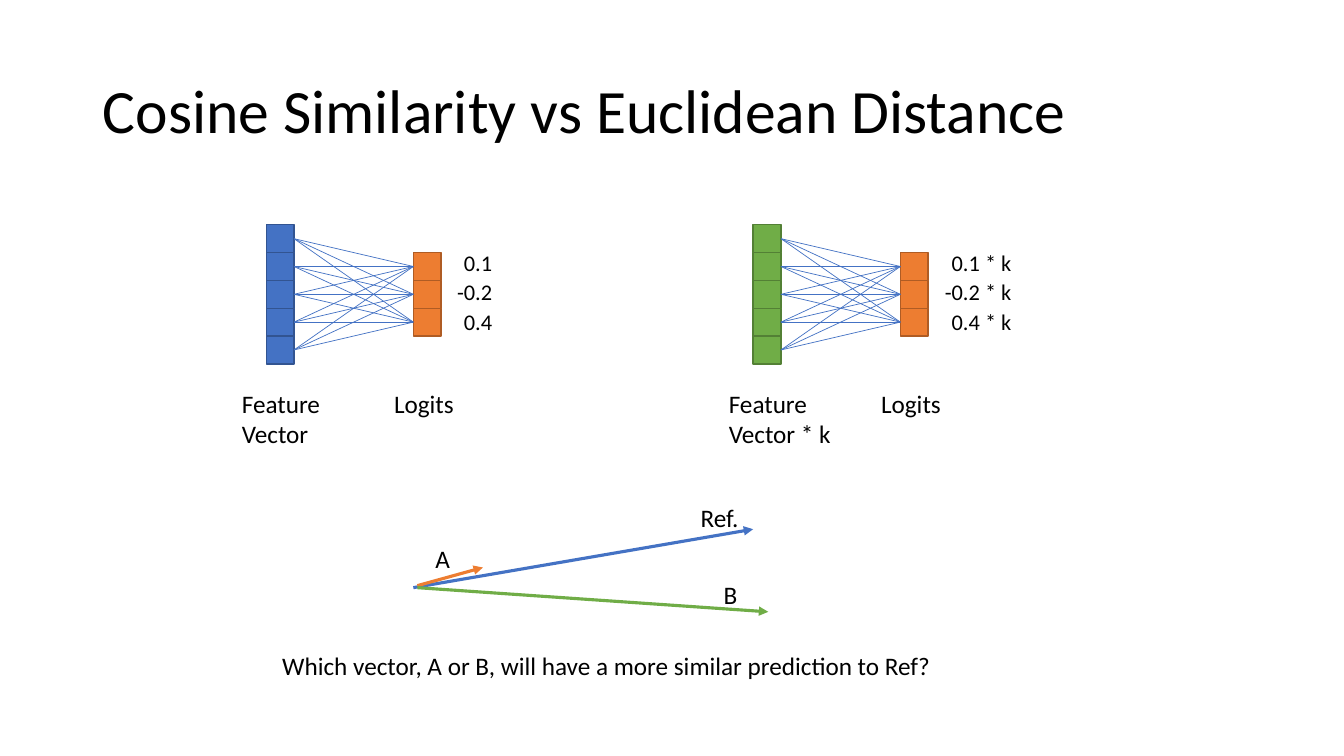
from pptx import Presentation
from pptx import util as u
from pptx.dml.color import RGBColor
from pptx.enum import shapes, text
from pptx.oxml.ns import qn
from lxml import etree

COLORS = {
    "black": "000000",
    "blue": "4472C4", "blue edge": "325491",
    "green": "70AD47", "green edge": "538035",
    "orange": "ED7D31", "orange edge": "AF5C24",
}
FONT = "Calibri"
CELL = 1.38 / 5  # five cells fill the feature vector's height


def add_label(parent, lines, left, top, width, height, size=18, align=text.PP_ALIGN.LEFT):
    box = parent.add_textbox(*map(u.Inches, (left, top, width, height)))
    frame = box.text_frame
    frame.word_wrap = False
    frame.auto_size = text.MSO_AUTO_SIZE.SHAPE_TO_FIT_TEXT
    frame.text = "\n".join(lines)
    for para in frame.paragraphs:
        para.alignment = align
        para.font.name = FONT
        para.font.size = u.Pt(size)
        para.font.color.rgb = RGBColor.from_string(COLORS["black"])


def add_line(parent, start, end, color, weight, arrow=False):
    line = parent.add_connector(shapes.MSO_CONNECTOR.STRAIGHT, *map(u.Inches, (*start, *end)))
    line.line.color.rgb = RGBColor.from_string(COLORS[color])
    line.line.width = u.Pt(weight)
    properties = line.element.spPr
    if arrow:
        etree.SubElement(properties.find(qn("a:ln")), qn("a:tailEnd"), type="triangle")
    etree.SubElement(properties, qn("a:effectLst"))
    return line


deck = Presentation()
deck.slide_width, deck.slide_height = u.Inches(13.33), u.Inches(7.5)
page = deck.slides.add_slide(deck.slide_layouts[5])

# Title
title = page.shapes.title
title.left, title.top, title.width, title.height = map(u.Inches, (0.92, 0.4, 11.5, 1.45))
title.text_frame.text = "Cosine Similarity vs Euclidean Distance"
title.text_frame.auto_size = text.MSO_AUTO_SIZE.NONE
title.text_frame.vertical_anchor = text.MSO_ANCHOR.MIDDLE
para = title.text_frame.paragraphs[0]
para.alignment = text.PP_ALIGN.LEFT
para.line_spacing = 0.9
para.font.name = FONT
para.font.size = u.Pt(44)
para.font.color.rgb = RGBColor.from_string(COLORS["black"])

# Two networks: feature vector, logits, links and labels
networks = [
    (2.64, "blue", "", 0.99, 0.55),
    (7.47, "green", " * k", 1.22, 0.87),
]
for left, feature_color, factor, caption_width, value_width in networks:
    columns = []
    for x, first_row, count, color in [(left, 0, 5, feature_color), (left + 1.46, 1, 3, "orange")]:
        cells = []
        for row in range(first_row, first_row + count):
            cell = page.shapes.add_shape(
                shapes.MSO_SHAPE.RECTANGLE,
                *map(u.Inches, (x, 2.23 + row * CELL, CELL, CELL)))
            cell.shadow.inherit = False
            cell.fill.solid()
            cell.fill.fore_color.rgb = RGBColor.from_string(COLORS[color])
            cell.line.color.rgb = RGBColor.from_string(COLORS[color + " edge"])
            cell.line.width = u.Pt(1)
            cells.append(cell)
        columns.append(cells)

    features, logits = columns
    for logit in logits:
        for feature in features:
            link = add_line(page.shapes, (0, 0), (1, 1), "blue", 0.5)
            link.begin_connect(feature, 3)
            link.end_connect(logit, 1)

    add_label(page.shapes, ["Feature", "Vector" + factor], left - 0.34, 3.8, caption_width, 0.71)
    add_label(page.shapes, ["Logits"], left + 1.17, 3.8, 0.8, 0.4)
    for row, value in enumerate(["0.1", "-0.2", "0.4"]):
        add_label(page.shapes, [value + factor], left + 1.79, 2.42 + row * 0.295,
                  value_width, 0.37, 16, text.PP_ALIGN.RIGHT)

# Vector comparison
vectors = page.shapes.add_group_shape().shapes
for start, end, color in [
    ((4.1, 5.83), (7.47, 5.25), "blue"),
    ((4.14, 5.81), (4.79, 5.63), "orange"),
    ((4.14, 5.83), (7.62, 6.07), "green"),
]:
    add_line(vectors, start, end, color, 2.25, arrow=True)
for name, left, top, width in [("A", 4.22, 5.34, 0.35), ("Ref.", 6.85, 4.93, 0.58), ("B", 7.08, 5.7, 0.34)]:
    add_label(vectors, [name], left, top, width, 0.4)

# Question
add_label(page.shapes, ["Which vector, A or B, will have a more similar prediction to Ref?"],
          2.7, 6.4, 6.71, 0.4)

deck.save("out.pptx")
